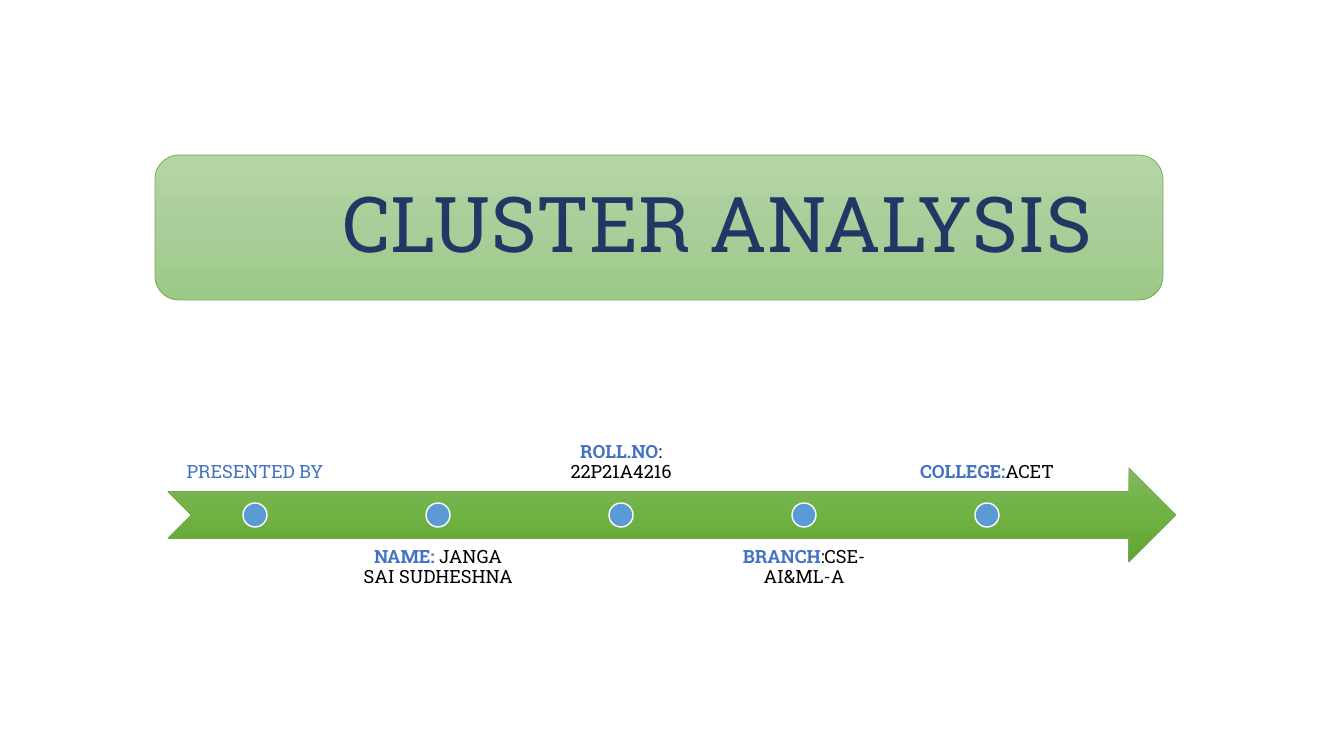
"""Build the Cluster Analysis title slide with a presenter timeline."""
from copy import deepcopy

from pptx import Presentation
from pptx.dml.color import RGBColor
from pptx.enum.shapes import MSO_SHAPE
from pptx.enum.text import MSO_ANCHOR, PP_ALIGN
from pptx.oxml.ns import qn
from pptx.util import Emu, Pt

ARROW = MSO_SHAPE.NOTCHED_RIGHT_ARROW
OVAL = MSO_SHAPE.OVAL
ROUND = MSO_SHAPE.ROUNDED_RECTANGLE
TOP, MIDDLE, BOTTOM = MSO_ANCHOR.TOP, MSO_ANCHOR.MIDDLE, MSO_ANCHOR.BOTTOM
LEFT, CENTER = PP_ALIGN.LEFT, PP_ALIGN.CENTER

BLUE = RGBColor(0x44, 0x72, 0xC4)
BLACK = RGBColor(0, 0, 0)
NAVY = RGBColor(0x20, 0x38, 0x64)
WHITE = RGBColor(0xFF, 0xFF, 0xFF)
SKY = RGBColor(0x5B, 0x9B, 0xD5)
GREEN = RGBColor(0x70, 0xAD, 0x47)
DEEP = [RGBColor(0x81, 0xB8, 0x61), RGBColor(0x6F, 0xB2, 0x42), RGBColor(0x62, 0xA3, 0x36)]
PALE = [RGBColor(0xB5, 0xD5, 0xA7), RGBColor(0xAA, 0xCE, 0x9A), RGBColor(0x9C, 0xC9, 0x87)]
FONT = "Roboto Slab"

TITLE = [("CLUSTER ANALYSIS", NAVY, False)]
STEPS = [
    [("PRESENTED BY", BLUE, False)],
    [("NAME: ", BLUE, True), ("JANGA SAI SUDHESHNA", BLACK, False)],
    [("ROLL.NO", BLUE, True), (": 22P21A4216", BLACK, False)],
    [("BRANCH", BLUE, True), (":CSE-AI&ML-A", BLACK, False)],
    [("COLLEGE:", BLUE, True), ("ACET", BLACK, False)],
]

WIDE, HIGH = 1344, 756
BAND = (168, 468, 1008, 94)
PANEL = (155, 155, 1008, 145)
PITCH, LABEL, DOT = 183, 174, 24


def px(num):
    """Turn pixels into EMU."""
    return Emu(round(num * 914400 / 100.8))


def add_form(slide, kind, box, edge, width):
    """Add a preset shape with an outline and no shadow."""
    form = slide.shapes.add_shape(kind, *map(px, box))
    form.shadow.inherit = False
    form.line.color.rgb = edge
    form.line.width = Pt(width)
    return form


def shade(form, tones):
    """Fill a shape with three tones from top to bottom."""
    form.fill.gradient()
    form.fill.gradient_angle = 270
    first = form.element.spPr.find(".//" + qn("a:gs"))
    first.addnext(deepcopy(first))
    for i, (stop, tone) in enumerate(zip(form.fill.gradient_stops, tones)):
        stop.position = i / 2
        stop.color.rgb = tone


def add_text(slide, box, runs, size, anchor, align, inset, indent=0):
    """Add a text box run by run."""
    frame = slide.shapes.add_textbox(*map(px, box)).text_frame
    frame.word_wrap = True
    frame.vertical_anchor = anchor
    frame.margin_left = px(inset + indent)
    frame.margin_right = frame.margin_top = frame.margin_bottom = px(inset)
    para = frame.paragraphs[0]
    para.alignment = align
    para.line_spacing = 0.9
    for words, tone, bold in runs:
        run = para.add_run()
        run.text = words
        run.font.name = FONT
        run.font.size = Pt(size)
        run.font.bold = bold
        run.font.color.rgb = tone


def main():
    """Lay out the slide and save it."""
    deck = Presentation()
    deck.slide_width, deck.slide_height = px(WIDE), px(HIGH)
    slide = deck.slides.add_slide(deck.slide_layouts[6])

    left, top, _, tall = BAND
    shade(add_form(slide, ARROW, BAND, GREEN, 0.5), DEEP)
    mid = top + tall // 2
    for i, runs in enumerate(STEPS):
        x = left + i * PITCH
        y, anchor = (mid + tall // 4, TOP) if i % 2 else (mid - tall // 4 - tall, BOTTOM)
        add_text(slide, (x, y, LABEL, tall), runs, 13, anchor, CENTER, 10)
        spot = (x + (LABEL - DOT) // 2, mid - DOT // 2, DOT, DOT)
        dot = add_form(slide, OVAL, spot, WHITE, 1)
        dot.fill.solid()
        dot.fill.fore_color.rgb = SKY

    shade(add_form(slide, ROUND, PANEL, GREEN, 0.5), PALE)
    left, top, wide, tall = PANEL
    inner = (left + 7, top + 7, wide - 14, tall - 14)
    add_text(slide, inner, TITLE, 55, MIDDLE, LEFT, 23, 157)
    deck.save("out.pptx")


if __name__ == "__main__":
    main()
